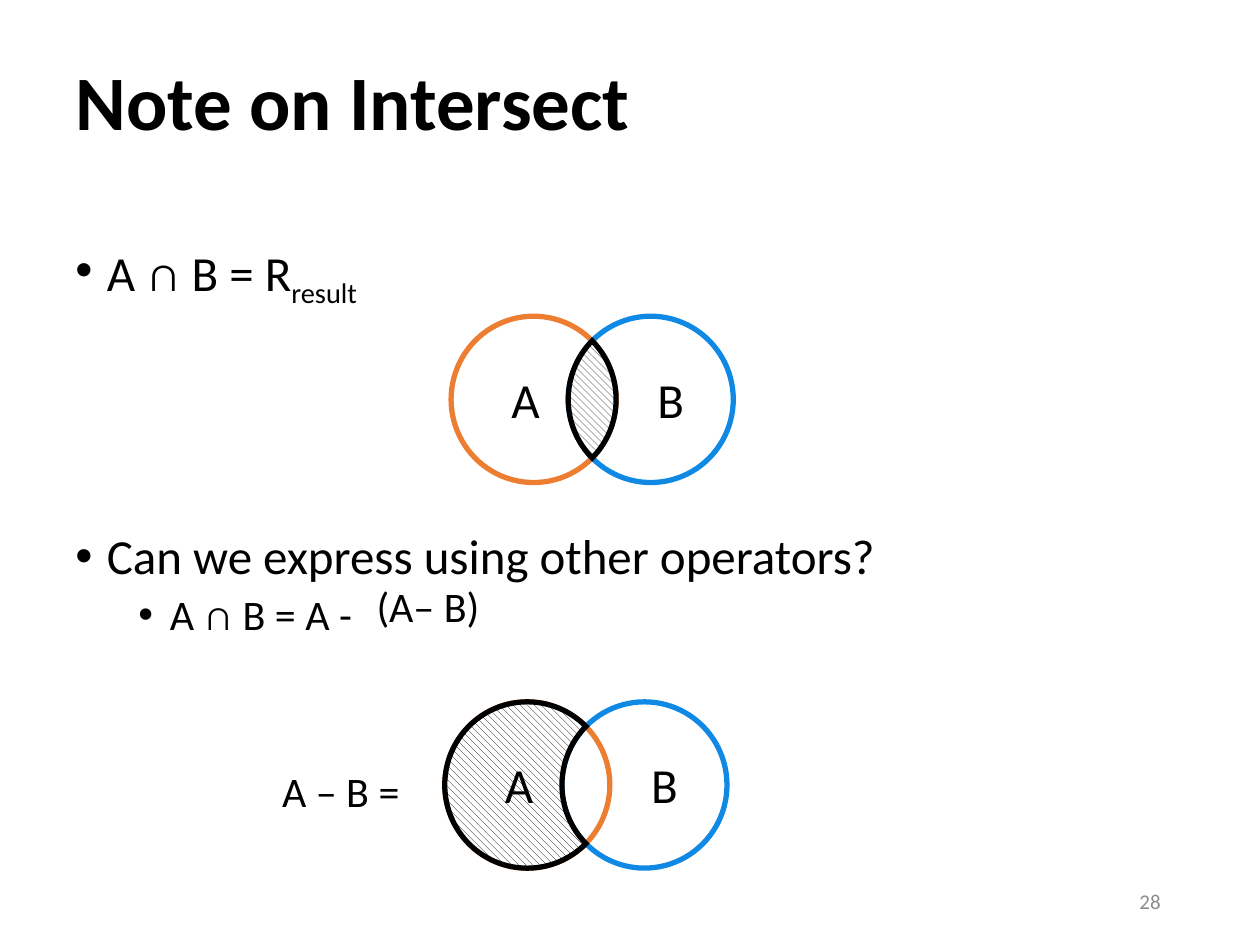
from math import acos, cos, pi, sin, tan

from lxml.etree import SubElement
from pptx import Presentation
from pptx.dml.color import RGBColor
from pptx.enum.dml import MSO_PATTERN
from pptx.enum.shapes import MSO_SHAPE as SHAPE
from pptx.enum.text import MSO_ANCHOR as ANCHOR, MSO_AUTO_SIZE as AUTO, PP_ALIGN as ALIGN
from pptx.oxml.ns import qn
from pptx.util import Inches, Pt

COLORS = {"black": "000000", "white": "FFFFFF", "gray": "8C8C8C",
          "orange": "ED7D31", "blue": "0F89E4"}
FONT = "Calibri"
DIAMETER_X, DIAMETER_Y = 1.31, 1.32
CENTER_GAP = 0.93


def rgb(name):
    return RGBColor.from_string(COLORS[name])


def arc(cx, cy, *angles):
    """Bezier points of a Venn circle's edge: a start, then three per stretch between angles."""
    def point(t, pull):
        return (Inches(cx + DIAMETER_X / 2 * (cos(t) - pull * sin(t))),
                Inches(cy + DIAMETER_Y / 2 * (sin(t) + pull * cos(t))))

    points = [point(angles[0], 0)]
    for start, end in zip(angles, angles[1:]):
        pull = 4 / 3 * tan((end - start) / 4)
        points += [point(start, pull), point(end, -pull), point(end, 0)]
    return points


class SlideBuilder:
    def __init__(self, slide):
        self.shapes = slide.shapes

    def run(self, p, text, size, color="black", bold=False, baseline=None):
        r = p.add_run()
        r.text = text
        r.font.name, r.font.size, r.font.bold = FONT, Pt(size), bold
        r.font.color.rgb = rgb(color)
        if baseline:
            r._r.get_or_add_rPr().set("baseline", str(baseline))

    def box(self, x, y, w, h, anchor=ANCHOR.TOP):
        tf = self.shapes.add_textbox(Inches(x), Inches(y), Inches(w), Inches(h)).text_frame
        tf.word_wrap = True
        tf.vertical_anchor = anchor
        return tf

    def label(self, text, x, y, w, h, size):
        tf = self.box(x, y, w, h)
        tf.word_wrap = False
        tf.auto_size = AUTO.SHAPE_TO_FIT_TEXT
        self.run(tf.paragraphs[0], text, size)

    def bullet(self, p, margin, level=0, before=0):
        p.level = level
        p.line_spacing = 0.9
        p.space_before = Pt(before)
        pPr = p._p.get_or_add_pPr()
        pPr.set("marL", str(Inches(margin)))
        pPr.set("indent", str(Inches(-0.25)))
        SubElement(pPr, qn("a:buFont")).set("typeface", "Arial")
        SubElement(pPr, qn("a:buChar")).set("char", "•")

    def outline(self, sp, color):
        sp.shadow.inherit = False
        sp.line.color.rgb = rgb(color)
        sp.line.width = Pt(3)

    def circle(self, x, y, color):
        sp = self.shapes.add_shape(SHAPE.OVAL, Inches(x), Inches(y),
                                   Inches(DIAMETER_X), Inches(DIAMETER_Y))
        sp.fill.background()
        self.outline(sp, color)

    def hatched(self, points):
        """Closed region whose segments, three points at a time, become Bezier curves."""
        builder = self.shapes.build_freeform(*points[0], scale=1.0)
        builder.add_line_segments(points[1:], close=True)
        sp = builder.convert_to_shape()
        lines = list(sp._element.iter(qn("a:lnTo")))
        for first, second, third in zip(lines[::3], lines[1::3], lines[2::3]):
            first.tag = qn("a:cubicBezTo")
            for line in (second, third):
                first.append(line[0])
                line.getparent().remove(line)
        sp.fill.patterned()
        sp.fill.pattern = MSO_PATTERN.WIDE_DOWNWARD_DIAGONAL
        sp.fill.fore_color.rgb = rgb("black")
        sp.fill.back_color.rgb = rgb("white")
        self.outline(sp, "black")
        SubElement(sp.line._get_or_add_ln(), qn("a:miter")).set("lim", "800000")

    def venn(self, x, y, region):
        """Two overlapping circles with the intersection or A - B hatched."""
        self.circle(x, y, "orange")
        self.circle(x + CENTER_GAP, y, "blue")
        ax, cy = x + DIAMETER_X / 2, y + DIAMETER_Y / 2
        half = acos(CENTER_GAP / DIAMETER_X)
        b_edge = arc(ax + CENTER_GAP, cy, pi - half, pi, pi + half)
        if region == "intersection":
            a_edge = arc(ax, cy, -half, 0, half)
        else:
            a_edge = arc(ax, cy, 2 * pi - half, 1.5 * pi, pi, 0.5 * pi, half)
        self.hatched(a_edge + b_edge[1:])
        for text, offset in (("A", 0.38), ("B", 1.54)):
            self.label(text, x + offset, y + 0.37, 0.43, 0.57, 28)

    def white_note(self, text, x, y, w, h, size):
        sp = self.shapes.add_shape(SHAPE.RECTANGLE, Inches(x), Inches(y), Inches(w), Inches(h))
        sp.shadow.inherit = False
        sp.fill.solid()
        sp.fill.fore_color.rgb = rgb("white")
        sp.line.fill.background()
        tf = sp.text_frame
        tf.word_wrap = False
        tf.auto_size = AUTO.SHAPE_TO_FIT_TEXT
        tf.vertical_anchor = ANCHOR.TOP
        p = tf.paragraphs[0]
        p.alignment = ALIGN.LEFT
        p.line_spacing = 0.9
        self.run(p, text, size)


def main():
    prs = Presentation()
    prs.slide_width, prs.slide_height = Inches(10), Inches(7.5)
    s = SlideBuilder(prs.slides.add_slide(prs.slide_layouts[6]))

    p = s.box(0.5, 0.13, 8.25, 1.42, ANCHOR.MIDDLE).paragraphs[0]
    p.line_spacing = 0.9
    s.run(p, "Note on Intersect", 44, bold=True)

    body = s.box(0.5, 1.88, 8.81, 4.82)
    p = body.paragraphs[0]
    s.bullet(p, 0.25)
    s.run(p, "A ∩ B = R", 28)
    s.run(p, "result", 28, baseline=-25000)
    p = body.add_paragraph()
    s.bullet(p, 0.25, before=131)
    s.run(p, "Can we express using other operators?", 28)
    p = body.add_paragraph()
    s.bullet(p, 0.75, level=1, before=5)
    s.run(p, "A ∩ B = A -", 24)

    p = s.box(7.06, 6.95, 2.25, 0.4, ANCHOR.MIDDLE).paragraphs[0]
    p.alignment = ALIGN.RIGHT
    s.run(p, "28", 12, "gray")

    s.venn(3.58, 2.51, "intersection")
    s.venn(3.53, 5.57, "difference")
    s.label("A – B =", 2.14, 6.03, 1.22, 0.5, 24)
    s.white_note("(A– B)", 2.89, 4.6, 1.03, 0.46, 24)

    prs.save("out.pptx")


if __name__ == "__main__":
    main()
